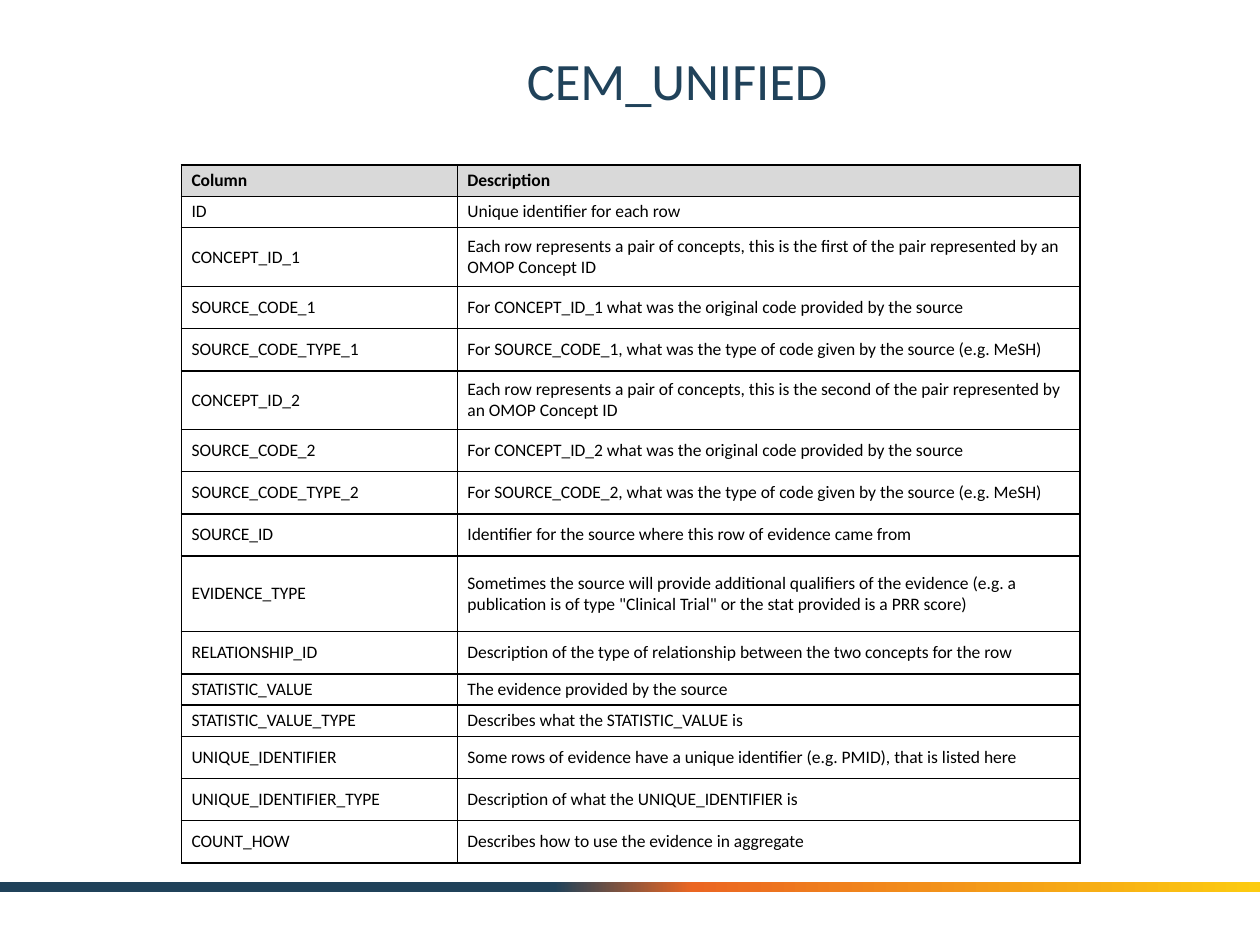
from copy import deepcopy
from lxml.etree import SubElement
from pptx import Presentation
from pptx.dml.color import RGBColor
from pptx.enum.shapes import MSO_SHAPE as SHAPE
from pptx.enum.text import MSO_ANCHOR as ANCHOR, PP_ALIGN as ALIGN
from pptx.oxml.ns import qn
from pptx.util import Inches, Pt

TITLE = "CEM_UNIFIED"
SHORT, NORMAL, DOUBLE, TALL = 17.3, 24.1, 33.6, 43.2
ROWS = [
    ("Column", "Description", SHORT),
    ("ID", "Unique identifier for each row", SHORT),
    ("CONCEPT_ID_1", "Each row represents a pair of concepts, this is the first of the pair represented by an OMOP Concept ID", DOUBLE),
    ("SOURCE_CODE_1", "For CONCEPT_ID_1 what was the original code provided by the source", NORMAL),
    ("SOURCE_CODE_TYPE_1", "For SOURCE_CODE_1, what was the type of code given by the source (e.g. MeSH)", NORMAL),
    ("CONCEPT_ID_2", "Each row represents a pair of concepts, this is the second of the pair represented by an OMOP Concept ID", DOUBLE),
    ("SOURCE_CODE_2", "For CONCEPT_ID_2 what was the original code provided by the source", NORMAL),
    ("SOURCE_CODE_TYPE_2", "For SOURCE_CODE_2, what was the type of code given by the source (e.g. MeSH)", NORMAL),
    ("SOURCE_ID", "Identifier for the source where this row of evidence came from", NORMAL),
    ("EVIDENCE_TYPE", 'Sometimes the source will provide additional qualifiers of the evidence (e.g. a publication is of type "Clinical Trial" or the stat provided is a PRR score)', TALL),
    ("RELATIONSHIP_ID", "Description of the type of relationship between the two concepts for the row", NORMAL),
    ("STATISTIC_VALUE", "The evidence provided by the source", SHORT),
    ("STATISTIC_VALUE_TYPE", "Describes what the STATISTIC_VALUE is", SHORT),
    ("UNIQUE_IDENTIFIER", "Some rows of evidence have a unique identifier (e.g. PMID), that is listed here", NORMAL),
    ("UNIQUE_IDENTIFIER_TYPE", "Description of what the UNIQUE_IDENTIFIER is", NORMAL),
    ("COUNT_HOW", "Describes how to use the evidence in aggregate", NORMAL),
]
COLUMNS = (2.19, 4.94)
BAR_STOPS = [("20425A", 0.44), ("EB6622", 0.55), ("FCCB10", 1)]
CELL = {
    "vertical_anchor": ANCHOR.MIDDLE,
    "margin_left": Inches(0.08),
    "margin_right": Inches(0.08),
    "margin_top": Inches(0.04),
    "margin_bottom": Inches(0.04),
}


def color(value):
    return RGBColor.from_string(value)


def apply(obj, values):
    for name, value in values.items():
        setattr(obj, name, value)


def place(sp, left, top, width, height):
    apply(sp, {"left": Inches(left), "top": Inches(top),
               "width": Inches(width), "height": Inches(height)})


def write(tf, text, size, hex_color, bold=False, align=ALIGN.LEFT):
    p = tf.paragraphs[0]
    p.alignment = align
    r = p.add_run()
    r.text = text
    apply(r.font, {"name": "Calibri", "size": Pt(size), "bold": bold})
    r.font.color.rgb = color(hex_color)


def add_borders(cell):
    tc_pr = cell._tc.get_or_add_tcPr()
    for i, side in enumerate(("lnL", "lnR", "lnT", "lnB")):
        ln = tc_pr.makeelement(qn(f"a:{side}"), {"w": str(Pt(1))})
        fill = SubElement(ln, qn("a:solidFill"))
        SubElement(fill, qn("a:srgbClr"), val="000000")
        tc_pr.insert(i, ln)


def add_bar(s):
    sp = s.shapes.add_shape(SHAPE.RECTANGLE, 0, Inches(7), Inches(10), Inches(0.08))
    sp.shadow.inherit = False
    sp.line.fill.background()
    sp.fill.gradient()
    sp.fill.gradient_angle = 0
    stops = sp.fill._fill._gradFill.gsLst
    stops.append(deepcopy(stops[-1]))
    for stop, (value, position) in zip(sp.fill.gradient_stops, BAR_STOPS):
        stop.color.rgb = color(value)
        stop.position = position


def add_title(s):
    sp = s.shapes.title
    place(sp, 1.25, 0.17, 8.25, 0.92)
    sp.text_frame.vertical_anchor = ANCHOR.MIDDLE
    write(sp.text_frame, TITLE, 30, "20425A", align=ALIGN.CENTER)


def add_columns_table(s):
    height = Pt(sum(row[-1] for row in ROWS))
    table = s.shapes.add_table(len(ROWS), len(COLUMNS), Inches(1.44), Inches(1.31),
                               Inches(sum(COLUMNS)), height).table
    table.horz_banding = False
    for column, width in zip(table.columns, COLUMNS):
        column.width = Inches(width)
    for i, (*texts, row_height) in enumerate(ROWS):
        table.rows[i].height = Pt(row_height)
        for cell, text in zip(table.rows[i].cells, texts):
            apply(cell, CELL)
            cell.fill.solid()
            cell.fill.fore_color.rgb = color("FFFFFF" if i else "D9D9D9")
            write(cell.text_frame, text, 10, "000000", bold=i == 0)
            add_borders(cell)


def main():
    prs = Presentation()
    prs.slide_width, prs.slide_height = Inches(10), Inches(7.5)
    s = prs.slides.add_slide(prs.slide_layouts[5])
    add_bar(s)
    add_title(s)
    add_columns_table(s)
    prs.save("out.pptx")


if __name__ == "__main__":
    main()
